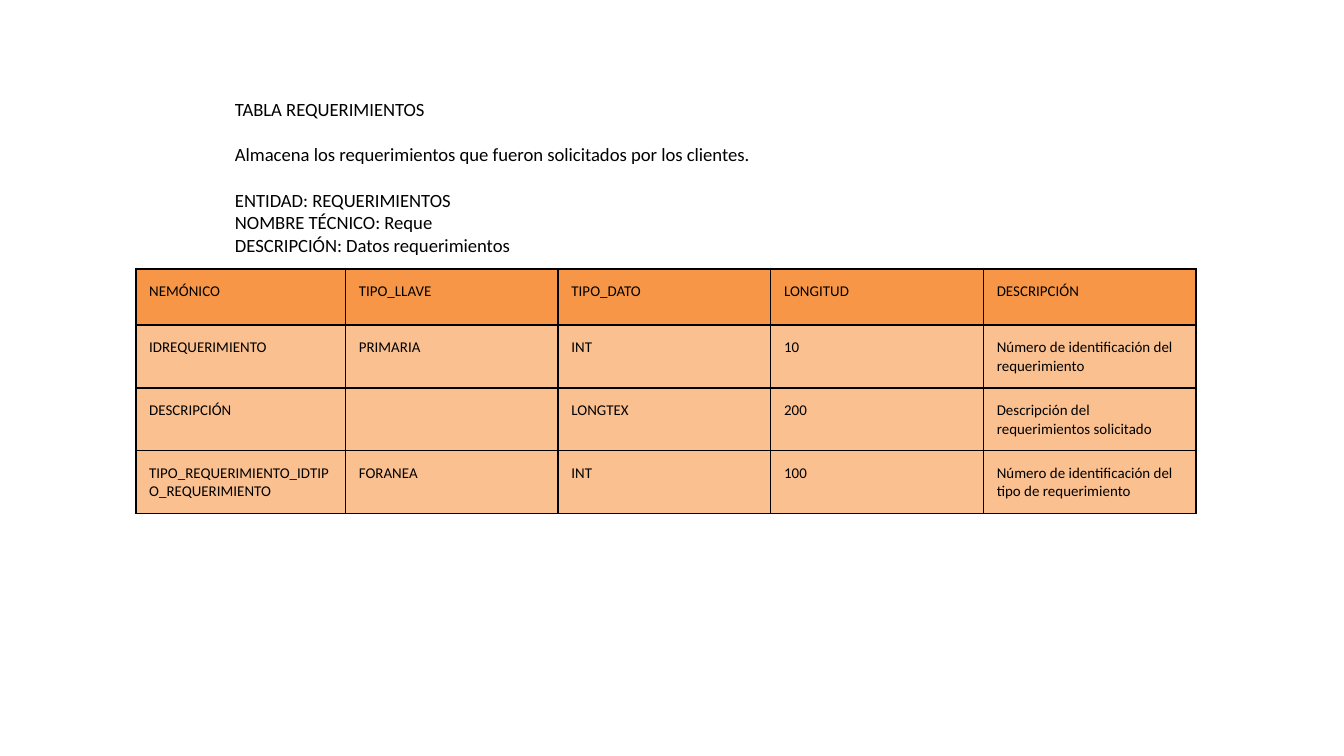
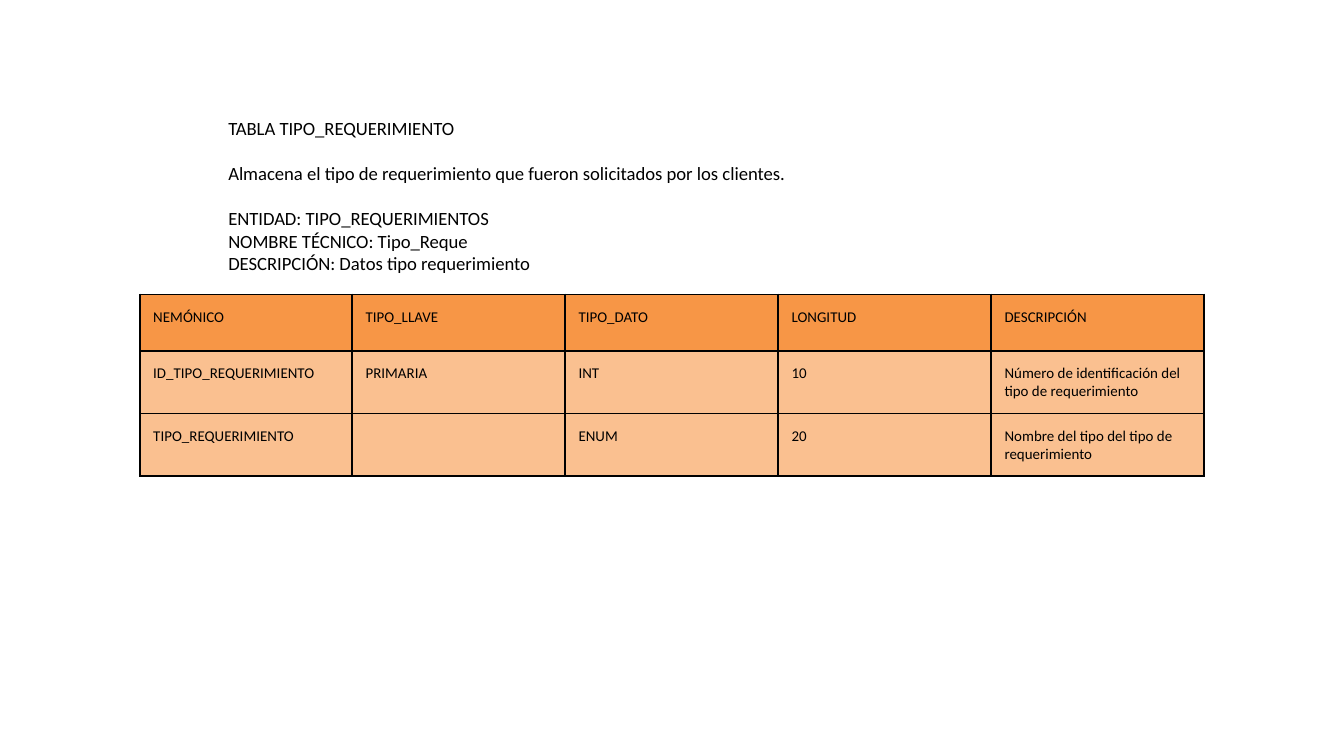
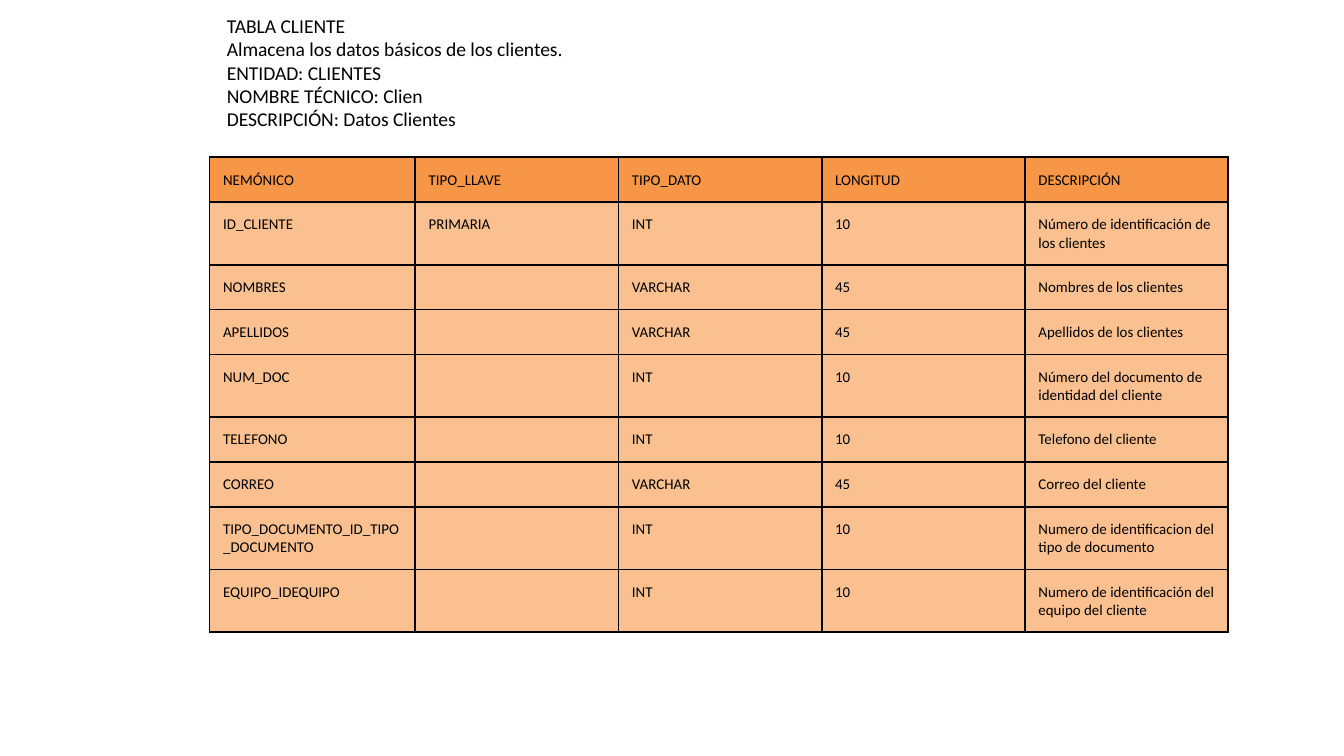
from pptx import Presentation
from pptx.dml.color import RGBColor
from pptx.enum.text import MSO_AUTO_SIZE, MSO_ANCHOR
from pptx.oxml.ns import qn
from pptx.util import Inches, Pt
from lxml.etree import SubElement

# Shared style
BLACK = RGBColor(0x00, 0x00, 0x00)
HEADER_FILL = RGBColor(0xF7, 0x96, 0x46)
ROW_FILL = RGBColor(0xFA, 0xC0, 0x90)
FONT = "Calibri"
CELL_SIZE = 8
INSET = Inches(0.1)
HEADER = ("NEMÓNICO", "TIPO_LLAVE", "TIPO_DATO", "LONGITUD", "DESCRIPCIÓN")

# Content of each slide: intro box, its text, and the data dictionary table.
# "gap" is the space in points before the second and third intro lines.
# The columns after the first share the rest of the table width equally.
SLIDES = [
    dict(
        box=(1.65, 0.63, 7.25, 1.55), size=10, gap=12.2,
        intro=(
            "TABLA REQUERIMIENTOS",
            "Almacena los requerimientos que fueron solicitados por los clientes.",
            "ENTIDAD: REQUERIMIENTOS",
            "NOMBRE TÉCNICO: Reque",
            "DESCRIPCIÓN: Datos requerimientos",
        ),
        table_at=(1.01, 2), width=7.89, first_col=1.56,
        heights=[0.42] * 4,
        rows=[
            ("IDREQUERIMIENTO", "PRIMARIA", "INT", "10",
             "Número de identificación del requerimiento"),
            ("DESCRIPCIÓN", "", "LONGTEX", "200",
             "Descripción del requerimientos solicitado"),
            ("TIPO_REQUERIMIENTO_IDTIPO_REQUERIMIENTO", "FORANEA", "INT", "100",
             "Número de identificación del tipo de requerimiento"),
        ],
    ),
    dict(
        box=(1.6, 0.77, 7.25, 1.55), size=10, gap=12.2,
        intro=(
            "TABLA TIPO_REQUERIMIENTO",
            "Almacena el tipo de requerimiento que fueron solicitados por los clientes.",
            "ENTIDAD: TIPO_REQUERIMIENTOS",
            "NOMBRE TÉCNICO: Tipo_Reque",
            "DESCRIPCIÓN: Datos tipo requerimiento",
        ),
        table_at=(1.04, 2.19), width=7.92, first_col=1.58,
        heights=[0.42] * 3,
        rows=[
            ("ID_TIPO_REQUERIMIENTO", "PRIMARIA", "INT", "10",
             "Número de identificación del tipo de requerimiento"),
            ("TIPO_REQUERIMIENTO", "", "ENUM", "20",
             "Nombre del tipo del tipo de requerimiento"),
        ],
    ),
    dict(
        box=(1.59, 0, 5.66, 1.25), size=10.5, gap=0,
        intro=(
            "TABLA CLIENTE",
            "Almacena los datos básicos de los clientes.",
            "ENTIDAD: CLIENTES",
            "NOMBRE TÉCNICO: Clien",
            "DESCRIPCIÓN: Datos Clientes",
        ),
        table_at=(1.56, 1.17), width=7.58, first_col=1.53,
        heights=[0.33, 0.44, 0.31, 0.31, 0.44, 0.31, 0.31, 0.44, 0.44],
        rows=[
            ("ID_CLIENTE", "PRIMARIA", "INT", "10",
             "Número de identificación de los clientes"),
            ("NOMBRES", "", "VARCHAR", "45", "Nombres de los clientes"),
            ("APELLIDOS", "", "VARCHAR", "45", "Apellidos de los clientes"),
            ("NUM_DOC", "", "INT", "10",
             "Número del documento de identidad del cliente"),
            ("TELEFONO", "", "INT", "10", "Telefono del cliente"),
            ("CORREO", "", "VARCHAR", "45", "Correo del cliente"),
            ("TIPO_DOCUMENTO_ID_TIPO_DOCUMENTO", "", "INT", "10",
             "Numero de identificacion del tipo de documento"),
            ("EQUIPO_IDEQUIPO", "", "INT", "10",
             "Numero de identificación del equipo del cliente"),
        ],
    ),
]


def write(p, text, size):
    """Fill a paragraph; an empty one keeps its size in its end mark."""
    if text:
        p.text = text
    else:
        SubElement(p._p, qn("a:endParaRPr"), sz=str(size * 100))
    p.font.name = FONT
    p.font.size = Pt(size)
    p.font.color.rgb = BLACK


def add_borders(cell):
    """Draw a 1 pt black line on all four sides of a cell."""
    tc_pr = cell._tc.get_or_add_tcPr()
    for side in ("lnL", "lnR", "lnT", "lnB"):
        ln = SubElement(tc_pr, qn(f"a:{side}"), w=str(Pt(1)))
        fill = SubElement(ln, qn("a:solidFill"))
        SubElement(fill, qn("a:srgbClr"), val=str(BLACK))


# 16:9 page
prs = Presentation()
prs.slide_width = Inches(10)
prs.slide_height = Inches(10 * 9 / 16)

for data in SLIDES:
    s = prs.slides.add_slide(prs.slide_layouts[6])

    # Intro text
    tf = s.shapes.add_textbox(*map(Inches, data["box"])).text_frame
    tf.word_wrap = True
    tf.auto_size = MSO_AUTO_SIZE.SHAPE_TO_FIT_TEXT
    tf.vertical_anchor = MSO_ANCHOR.TOP
    tf.margin_left = tf.margin_right = tf.margin_top = tf.margin_bottom = INSET
    for i, line in enumerate(data["intro"]):
        p = tf.add_paragraph() if i else tf.paragraphs[0]
        write(p, line, data["size"])
        if data["gap"] and i in (1, 2):
            p.space_before = Pt(data["gap"])

    # Data dictionary table
    rows = [HEADER] + data["rows"]
    left, top = data["table_at"]
    width, first_col = data["width"], data["first_col"]
    table = s.shapes.add_table(
        len(rows), len(HEADER), Inches(left), Inches(top),
        Inches(width), Inches(sum(data["heights"]))).table
    table.first_row = table.horz_banding = False
    other_col = (width - first_col) / (len(HEADER) - 1)
    for c, column in enumerate(table.columns):
        column.width = Inches(other_col if c else first_col)
    for r, (values, height) in enumerate(zip(rows, data["heights"])):
        table.rows[r].height = Inches(height)
        for c, value in enumerate(values):
            cell = table.cell(r, c)
            cell.margin_left = cell.margin_right = INSET
            cell.margin_top = cell.margin_bottom = INSET
            add_borders(cell)
            cell.fill.solid()
            cell.fill.fore_color.rgb = ROW_FILL if r else HEADER_FILL
            write(cell.text_frame.paragraphs[0], value, CELL_SIZE)

prs.save("out.pptx")
